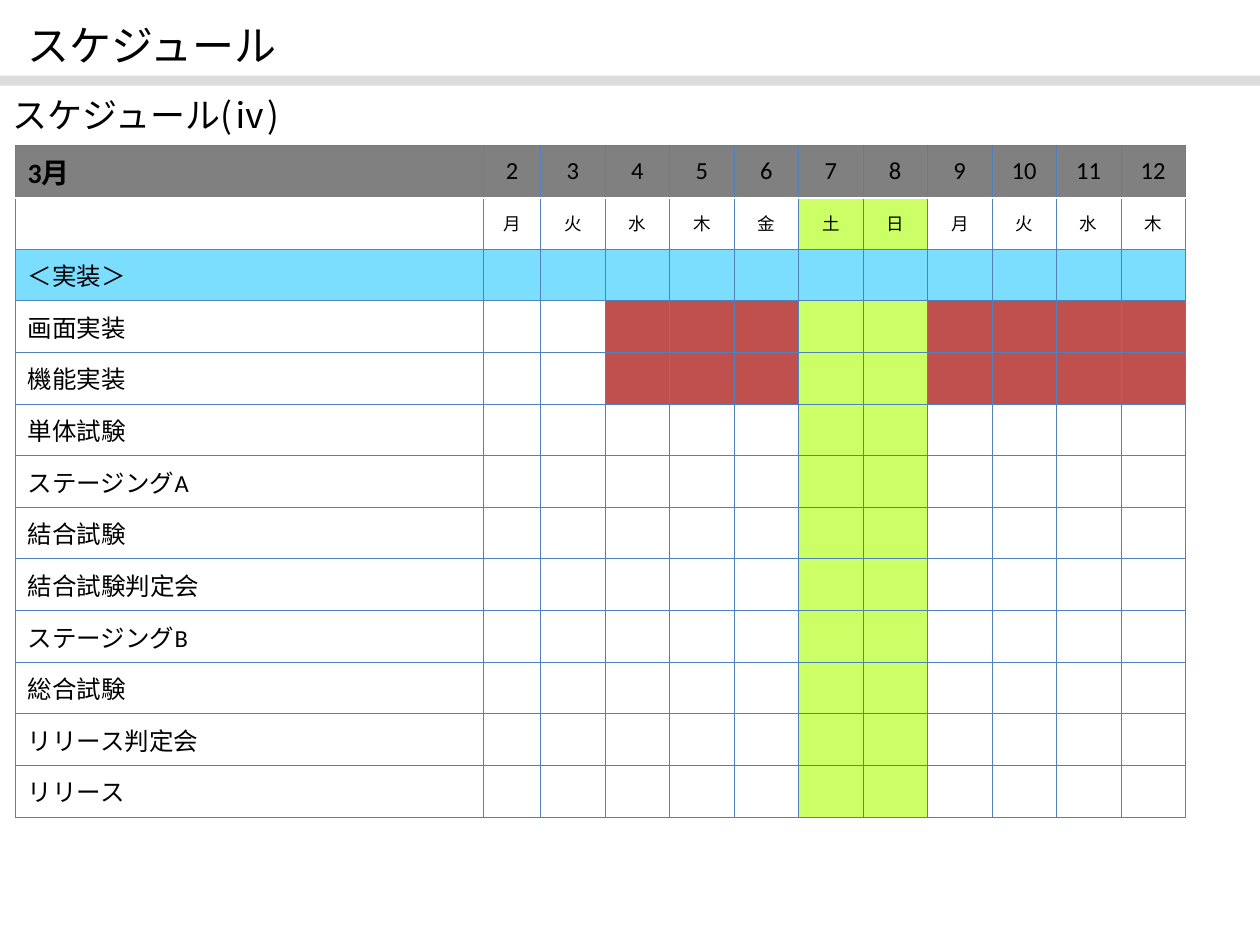
from dataclasses import dataclass

from lxml.etree import SubElement
from pptx import Presentation
from pptx.dml.color import RGBColor
from pptx.enum.shapes import MSO_SHAPE
from pptx.enum.text import MSO_ANCHOR, PP_ALIGN
from pptx.oxml.ns import qn
from pptx.util import Inches, Pt

TITLE = "スケジュール"
SUBTITLE = "スケジュール(ⅳ)"
MONTH = "3月"
DAYS = list(range(2, 13))
WEEKDAYS = "月火水木金土日月火水木"
PHASE = "＜実装＞"
TASKS = [
    ("画面実装", range(4, 13)),
    ("機能実装", range(4, 13)),
    ("単体試験", ()),
    ("ステージングA", ()),
    ("結合試験", ()),
    ("結合試験判定会", ()),
    ("ステージングB", ()),
    ("総合試験", ()),
    ("リリース判定会", ()),
    ("リリース", ()),
]


@dataclass(frozen=True)
class Theme:
    latin: str = "Calibri"
    japanese: str = "Noto Sans CJK JP"
    text: str = "000000"
    white: str = "FFFFFF"
    header: str = "808080"
    phase: str = "7BDEFF"
    weekend: str = "CCFF66"
    work: str = "C0504D"
    rule: str = "DDDDDD"
    grid: str = "4F81BD"
    title_size: float = 24
    subtitle_size: float = 20
    month_size: float = 16
    body_size: float = 14
    weekday_size: float = 10
    grid_width: float = 0.45
    header_line_width: float = 1.47


THEME = Theme()
TABLE_LEFT, TABLE_TOP, TABLE_WIDTH = 0.12, 1.15, 9.29
LABEL_WIDTH, FIRST_DAY_WIDTH = 3.72, 0.45
ROW_HEIGHT, WEEKDAY_HEIGHT = 0.41, 0.38


def write_text(frame, text, size=THEME.body_size, font=THEME.latin, bold=False, align=PP_ALIGN.LEFT):
    paragraph = frame.paragraphs[0]
    paragraph.alignment = align
    run = paragraph.add_run()
    run.text = text
    run.font.size = Pt(size)
    run.font.bold = bold
    run.font.color.rgb = RGBColor.from_string(THEME.text)
    run.font.name = font
    SubElement(run.font._element, qn("a:ea"), typeface=THEME.japanese)


def add_heading(slide, text, left, top, width, height, size):
    frame = slide.shapes.add_textbox(*map(Inches, (left, top, width, height))).text_frame
    frame.word_wrap = True
    frame.vertical_anchor = MSO_ANCHOR.MIDDLE
    write_text(frame, text, size=size, font=THEME.japanese)


def set_border(cell, side, color, width):
    line = SubElement(cell._tc.get_or_add_tcPr(), qn(f"a:ln{side}"), w=str(Pt(width)))
    fill = SubElement(line, qn("a:solidFill"))
    SubElement(fill, qn("a:srgbClr"), val=color)


def style_cell(cell, color, row):
    cell.vertical_anchor = MSO_ANCHOR.MIDDLE
    header_side = {0: "B", 1: "T"}.get(row)
    for side in "LRTB":
        if side == header_side:
            set_border(cell, side, THEME.white, THEME.header_line_width)
        else:
            set_border(cell, side, THEME.grid, THEME.grid_width)
    cell.fill.solid()
    cell.fill.fore_color.rgb = RGBColor.from_string(color)


def day_color(day, weekday, work_days=()):
    if weekday in "土日":
        return THEME.weekend
    return THEME.work if day in work_days else THEME.white


def schedule_rows():
    calendar = list(zip(DAYS, WEEKDAYS))
    blanks = [""] * len(DAYS)
    yield [MONTH, *map(str, DAYS)], [THEME.header] * (len(DAYS) + 1)
    yield ["", *WEEKDAYS], [THEME.white, *(day_color(*date) for date in calendar)]
    yield [PHASE, *blanks], [THEME.phase] * (len(DAYS) + 1)
    for task, work_days in TASKS:
        yield [task, *blanks], [THEME.white, *(day_color(*date, work_days) for date in calendar)]


def add_schedule(slide):
    rows = list(schedule_rows())
    day_width = (TABLE_WIDTH - LABEL_WIDTH - FIRST_DAY_WIDTH) / (len(DAYS) - 1)
    widths = [LABEL_WIDTH, FIRST_DAY_WIDTH] + [day_width] * (len(DAYS) - 1)
    heights = [ROW_HEIGHT, WEEKDAY_HEIGHT] + [ROW_HEIGHT] * (len(rows) - 2)
    bounds = map(Inches, (TABLE_LEFT, TABLE_TOP, TABLE_WIDTH, sum(heights)))
    table = slide.shapes.add_table(len(rows), len(widths), *bounds).table
    table.first_row = False
    table.horz_banding = False
    for column, width in zip(table.columns, widths):
        column.width = Inches(width)
    for table_row, height in zip(table.rows, heights):
        table_row.height = Inches(height)
    for row, (texts, colors) in enumerate(rows):
        for column, (text, color) in enumerate(zip(texts, colors)):
            cell = table.cell(row, column)
            style_cell(cell, color, row)
            if text:
                is_month = row == column == 0
                size = THEME.weekday_size if row == 1 else THEME.body_size
                write_text(
                    cell.text_frame,
                    text,
                    size=THEME.month_size if is_month else size,
                    bold=is_month,
                    align=PP_ALIGN.CENTER if column else PP_ALIGN.LEFT,
                )


def add_rule(slide):
    shape = slide.shapes.add_shape(MSO_SHAPE.RECTANGLE, *map(Inches, (0, 0.6, 10.04, 0.08)))
    shape.shadow.inherit = False
    shape.fill.solid()
    shape.fill.fore_color.rgb = RGBColor.from_string(THEME.rule)
    shape.line.fill.background()


def main():
    presentation = Presentation()
    presentation.slide_width = Inches(10)
    presentation.slide_height = Inches(7.5)
    slide = presentation.slides.add_slide(presentation.slide_layouts[6])
    add_schedule(slide)
    add_heading(slide, TITLE, 0.12, 0.05, 7.01, 0.61, THEME.title_size)
    add_rule(slide)
    add_heading(slide, SUBTITLE, 0, 0.68, 2.4, 0.45, THEME.subtitle_size)
    presentation.save("out.pptx")


if __name__ == "__main__":
    main()
